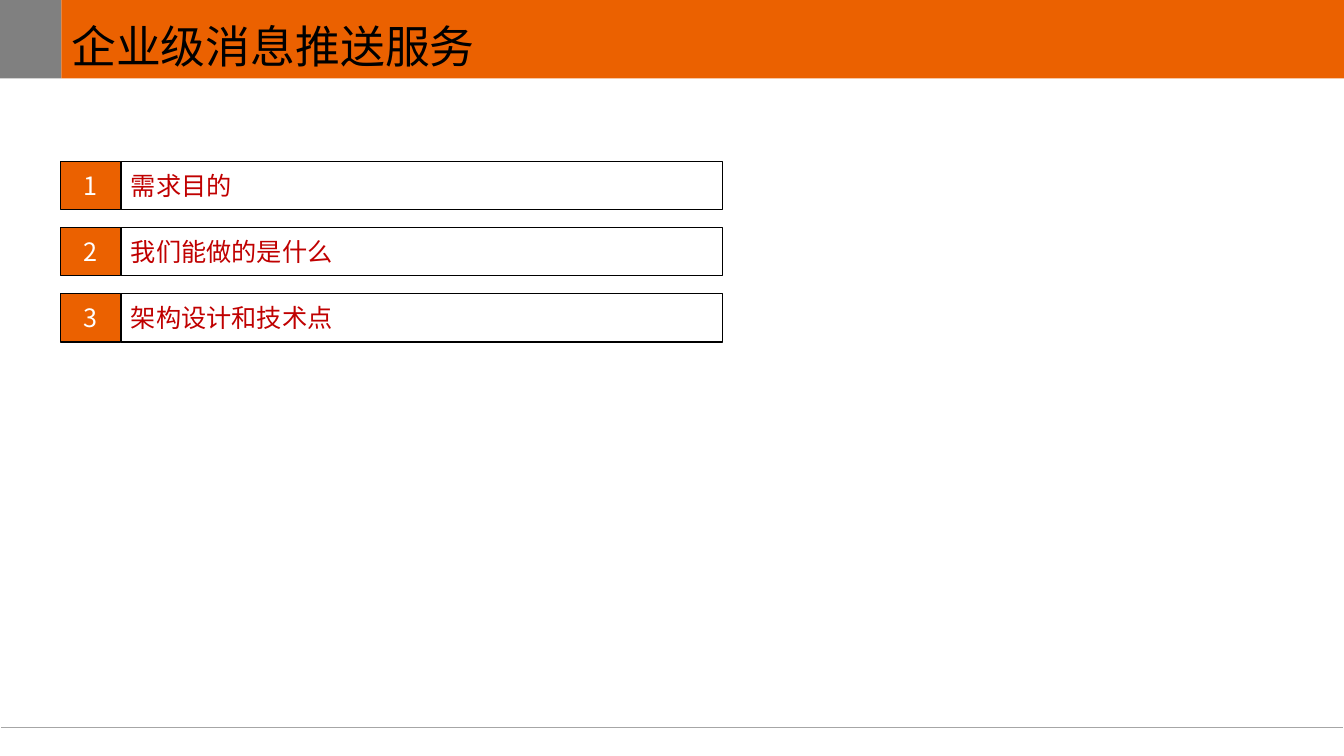
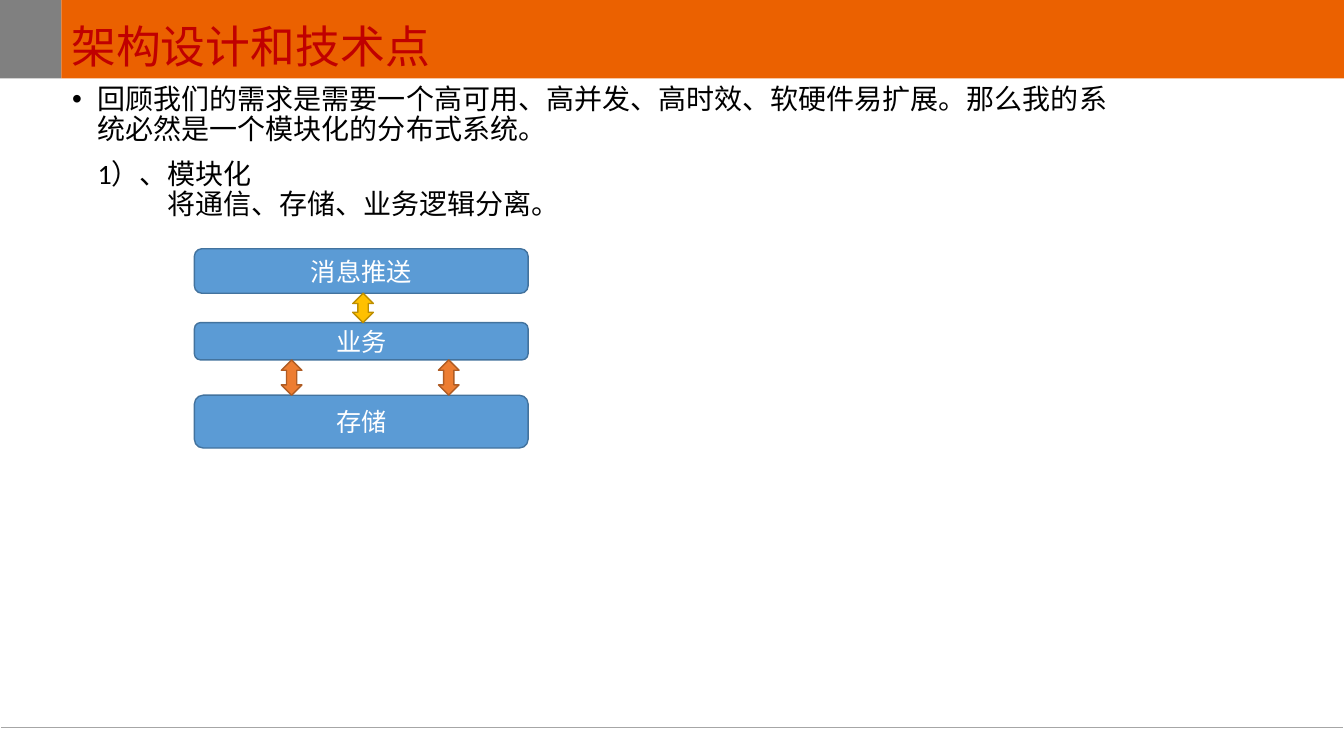
from lxml import etree
from pptx import Presentation
from pptx.dml.color import RGBColor
from pptx.enum.shapes import MSO_CONNECTOR, MSO_SHAPE
from pptx.enum.text import MSO_ANCHOR, PP_ALIGN
from pptx.oxml.ns import qn
from pptx.util import Cm, Pt

RECT, ROUND = MSO_SHAPE.RECTANGLE, MSO_SHAPE.ROUNDED_RECTANGLE
ARROW = MSO_SHAPE.UP_DOWN_ARROW
LINE = MSO_CONNECTOR.STRAIGHT
TOP, MIDDLE, BOTTOM = MSO_ANCHOR.TOP, MSO_ANCHOR.MIDDLE, MSO_ANCHOR.BOTTOM
LEFT, CENTER = PP_ALIGN.LEFT, PP_ALIGN.CENTER

WIDE, HIGH = 33.87, 19.05
EDGE, BAND = 1.55, 1.98
LATIN, HAN = "Calibri", "Noto Sans CJK SC"
ORANGE, GREY, RULE = "EB6100", "808080", "A6A6A6"
BLACK, WHITE, RED = "000000", "FFFFFF", "C00000"
BLUE, NAVY = "5B9BD5", "43739E"
AMBER, BROWN = "ED7D31", "AF5C24"
GOLD, OLIVE = "FFC000", "BD8E00"


def color(code):
    """Turn a hex string into a colour."""
    return RGBColor.from_string(code)


def write(para, text, size, ink, font=LATIN):
    """Add one run to a paragraph."""
    run = para.add_run()
    run.text = text
    run.font.size = Pt(size)
    run.font.name = font
    run.font.color.rgb = color(ink)
    etree.SubElement(run.font._element, qn("a:ea"), typeface=HAN)


def shape(slide, kind, box, fill, line=None, width=1):
    """Draw a filled preset shape in box (left, top, width, height)."""
    item = slide.shapes.add_shape(kind, *map(Cm, box))
    item.shadow.inherit = False
    item.fill.solid()
    item.fill.fore_color.rgb = color(fill)
    if line:
        item.line.color.rgb = color(line)
        item.line.width = Pt(width)
    else:
        item.line.fill.background()
    return item


def label(item, text, size, ink, font=LATIN, align=CENTER, anchor=MIDDLE):
    """Put a single line of text in a shape."""
    frame = item.text_frame
    frame.word_wrap = True
    frame.vertical_anchor = anchor
    para = frame.paragraphs[0]
    para.alignment = align
    write(para, text, size, ink, font)
    return para


def base(deck, title, ink, font):
    """Add a slide with the title band, corner block and foot rule."""
    slide = deck.slides.add_slide(deck.slide_layouts[6])
    shape(slide, RECT, (0, 0, EDGE, BAND), GREY)
    foot = slide.shapes.add_connector(
        LINE, Cm(0.03), Cm(18.34), Cm(WIDE - 0.03), Cm(18.34))
    foot.line.color.rgb = color(RULE)
    foot.line.width = Pt(0.5)
    etree.SubElement(foot._element.spPr, qn("a:effectLst"))
    band = shape(slide, RECT, (EDGE, 0, WIDE - EDGE, BAND), ORANGE)
    label(band, title, 32, ink, font, LEFT, BOTTOM).line_spacing = 0.9
    return slide


def agenda(slide, box, names):
    """List numbered topics in equal rows down the box."""
    left, top, width, height = box
    row, cell = 1.22, 1.52
    step = (height - row) / (len(names) - 1)
    for num, name in enumerate(names):
        y = top + num * step
        bar = shape(slide, RECT, (left + cell, y, width - cell, row),
                    WHITE, BLACK, 0.75)
        label(bar, name, 18, RED, HAN, LEFT)
        tile = shape(slide, RECT, (left, y, cell, row), ORANGE, BLACK, 0.75)
        label(tile, str(num + 1), 18, WHITE, HAN)


def body(slide, box, lines):
    """Write paragraphs of (text, left margin, indent, space before)."""
    frame = slide.shapes.add_textbox(*map(Cm, box)).text_frame
    frame.word_wrap = True
    frame.vertical_anchor = TOP
    for num, (text, margin, indent, space) in enumerate(lines):
        para = frame.add_paragraph() if num else frame.paragraphs[0]
        para.line_spacing = 0.9
        para.space_before = Pt(space)
        props = para._p.get_or_add_pPr()
        props.set("marL", str(Cm(margin)))
        props.set("indent", str(Cm(indent)))
        if indent:
            etree.SubElement(props, qn("a:buFont"), typeface="Arial")
            etree.SubElement(props, qn("a:buChar"), char="•")
        write(para, text, 20, BLACK)


def stack(slide, box):
    """Draw the three layers and the arrows that join them."""
    left, top, width, height = box
    layers = (("消息推送", 0, 1.12), ("业务", 1.86, 0.94),
              ("存储", height - 1.33, 1.33))
    for name, y, tall in reversed(layers):
        layer = shape(slide, ROUND, (left, top + y, width, tall), BLUE, NAVY)
        label(layer, name, 18, WHITE)
    links = ((1, 2.19, AMBER, BROWN), (1, 6.15, AMBER, BROWN),
             (0, 3.99, GOLD, OLIVE))
    for upper, x, fill, line in links:
        start = layers[upper][1] + layers[upper][2]
        gap = layers[upper + 1][1] - start
        shape(slide, ARROW, (left + x, top + start, 0.52, gap), fill, line)


def main():
    """Build and save the deck."""
    deck = Presentation()
    deck.slide_width, deck.slide_height = Cm(WIDE), Cm(HIGH)

    topics = ("需求目的", "我们能做的是什么", "架构设计和技术点")
    slide = base(deck, "企业级消息推送服务", BLACK, LATIN)
    agenda(slide, (1.53, 4.06, 16.68, 4.56), topics)

    slide = base(deck, topics[-1], RED, HAN)
    body(slide, (1.57, 2.03, 26.82, 14.88), (
        ("回顾我们的需求是需要一个高可用、高并发、高时效、软硬件易扩展。"
         "那么我的系统必然是一个模块化的分布式系统。", 0.64, -0.64, 10),
        ("1）、模块化", 0.64, 0, 10),
        ("将通信、存储、业务逻辑分离。", 2.4, 0, 0)))
    stack(slide, (4.9, 6.27, 8.41, 5.02))
    deck.save("out.pptx")


main()
